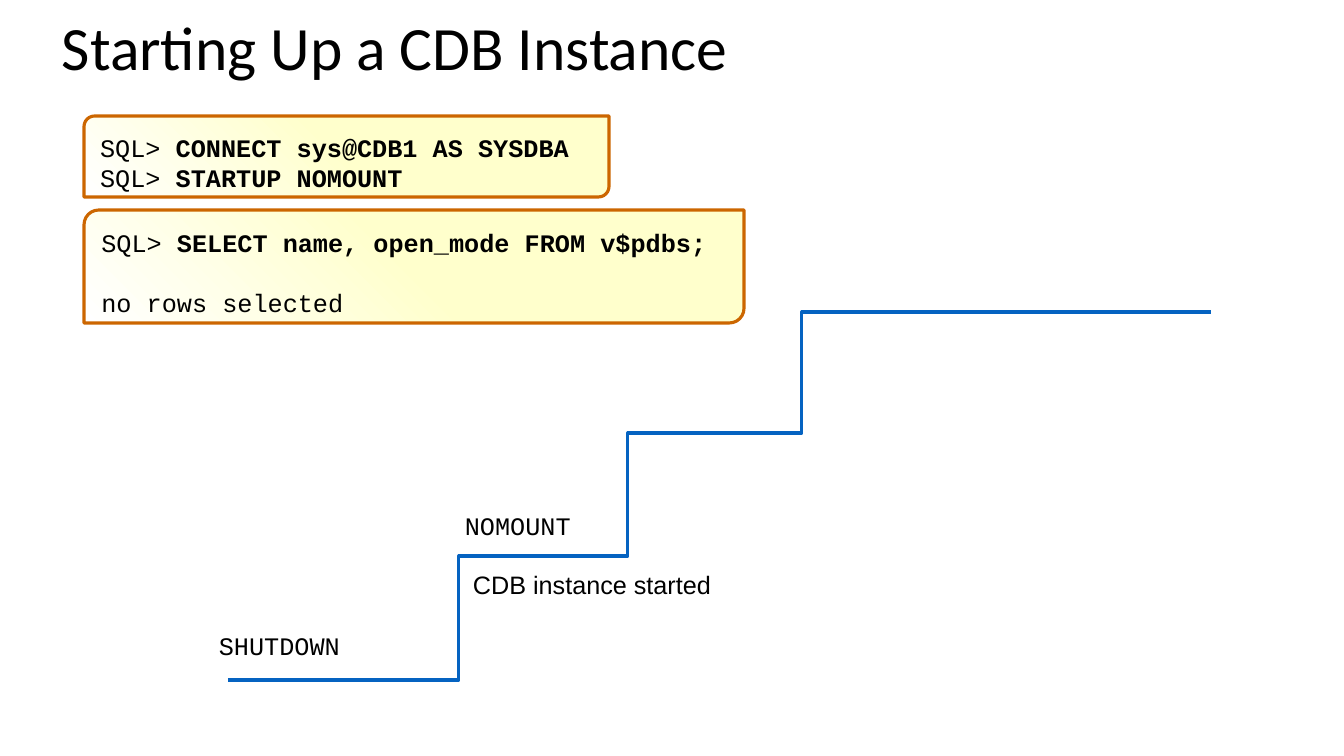
from copy import deepcopy

from pptx import Presentation
from pptx.dml.color import RGBColor
from pptx.enum.shapes import MSO_SHAPE
from pptx.enum.text import MSO_ANCHOR, MSO_AUTO_SIZE, PP_ALIGN
from pptx.oxml.ns import qn
from pptx.util import Pt

PX = 914400 / 100.8
SLIDE_SIZE = (1344, 756)
COLORS = {"text": "000000", "stairs": "0563C1", "border": "CC6600",
          "cream": "FFFFCC", "white": "FFFFFF"}
LINE_WIDTH = 2.25
CODE_LINE = 21  # points, height of one line of code

TITLE = ("Starting Up a CDB Instance", (52, 0, 1016, 102))
LABELS = [
    ("NOMOUNT", "Courier New", (455, 505, 202, 40)),
    ("SHUTDOWN", "Courier New", (209, 625, 232, 40)),
    ("CDB instance started", "Arial", (463, 564, 410, 40)),
]
STAIRS = [(228, 680), (459, 680), (459, 556), (628, 556), (628, 433),
          (802, 433), (802, 312), (1211, 312)]
# Each code line: plain part, bold part, blank lines above it
CODE_BOXES = [
    ((84, 116, 525, 81), [("SQL>", " CONNECT sys@CDB1 AS SYSDBA", 0),
                          ("SQL>", " STARTUP NOMOUNT", 0)]),
    ((84, 210, 660, 113), [("SQL>", " SELECT name, open_mode FROM v$pdbs;", 0),
                           ("no rows selected", "", 1)]),
]


def emu(*lengths):
    return [round(length * PX) for length in lengths]


def rgb(name):
    return RGBColor.from_string(COLORS[name])


def add_run(paragraph, text, font_name, size=18, bold=False):
    run = paragraph.add_run()
    run.text = text
    run.font.name = font_name
    run.font.size = Pt(size)
    run.font.bold = bold
    run.font.color.rgb = rgb("text")


def add_label(slide, text, font_name, box, size=18):
    frame = slide.shapes.add_textbox(*emu(*box)).text_frame
    frame.word_wrap = True
    add_run(frame.paragraphs[0], text, font_name, size)
    return frame


def set_outline(shape, color):
    shape.shadow.inherit = False
    shape.line.color.rgb = rgb(color)
    shape.line.width = Pt(LINE_WIDTH)


def add_stairs(slide):
    builder = slide.shapes.build_freeform(*STAIRS[0], scale=PX)
    builder.add_line_segments(STAIRS[1:], close=False)
    stairs = builder.convert_to_shape()
    stairs.fill.background()
    set_outline(stairs, "stairs")


def fill_cream_to_white(shape):
    """Keep cream up to the middle, then fade to white at the lower left."""
    shape.fill.gradient()
    shape.fill.gradient_angle = 225
    stop_list = shape._element.spPr.find(".//" + qn("a:gsLst"))
    stop_list.insert(1, deepcopy(stop_list[0]))
    stops = zip(shape.fill.gradient_stops, (0, 0.5, 1), ("cream", "cream", "white"))
    for stop, position, color in stops:
        stop.position = position
        stop.color.rgb = rgb(color)


def add_code_box(slide, box, lines):
    shape = slide.shapes.add_shape(MSO_SHAPE.ROUND_2_DIAG_RECTANGLE, *emu(*box))
    shape.adjustments[0] = 0.13
    shape.adjustments[1] = 0
    fill_cream_to_white(shape)
    set_outline(shape, "border")
    frame = shape.text_frame
    frame.word_wrap = True
    frame.auto_size = MSO_AUTO_SIZE.SHAPE_TO_FIT_TEXT
    frame.vertical_anchor = MSO_ANCHOR.TOP
    (frame.margin_left, frame.margin_top,
     frame.margin_right, frame.margin_bottom) = emu(13, 13, 2, 0)
    for index, (plain, bold, blank_lines) in enumerate(lines):
        paragraph = frame.add_paragraph() if index else frame.paragraphs[0]
        paragraph.alignment = PP_ALIGN.LEFT
        if blank_lines:
            paragraph.space_before = Pt(blank_lines * CODE_LINE)
        add_run(paragraph, plain, "Courier New")
        if bold:
            add_run(paragraph, bold, "Courier New", bold=True)


def main():
    presentation = Presentation()
    presentation.slide_width, presentation.slide_height = emu(*SLIDE_SIZE)
    slide = presentation.slides.add_slide(presentation.slide_layouts[6])
    title_text, title_box = TITLE
    title = add_label(slide, title_text, "Calibri", title_box, size=44)
    title.vertical_anchor = MSO_ANCHOR.MIDDLE
    title.paragraphs[0].line_spacing = 0.9
    for text, font_name, box in LABELS:
        add_label(slide, text, font_name, box)
    add_stairs(slide)
    for box, lines in CODE_BOXES:
        add_code_box(slide, box, lines)
    presentation.save("out.pptx")


if __name__ == "__main__":
    main()
